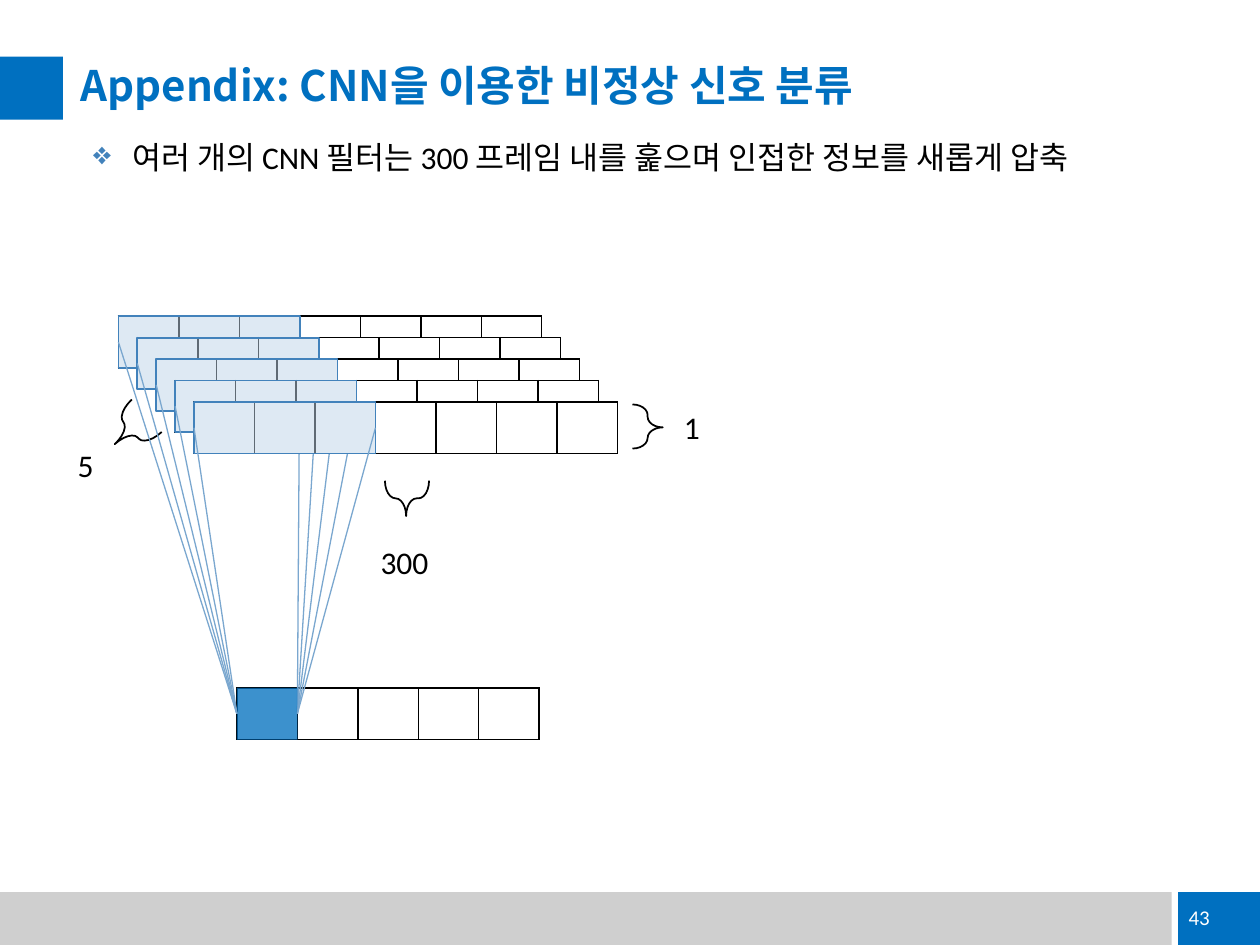
import pptx
import pptx.util
import pptx.dml.color
import pptx.enum.shapes
import pptx.enum.text
import pptx.oxml
import pptx.oxml.ns

COLORS = {
    "accent": "0070C0", "footer": "CFCFCF", "black": "000000", "white": "FFFFFF",
    "field": "BFD5E9", "edge": "4282BB", "ray": "7AA7CF",
}
LATIN, KOREAN = "Calibri", "Noto Sans CJK KR"
CELL_W, CELL_H = 0.48, 0.41
LAYERS, INPUTS, KERNEL = 5, 7, 3
OUTPUTS = INPUTS - KERNEL + 1
FIRST_X, FIRST_Y = 0.94, 2.51
STEP_X, STEP_Y = 0.15, 0.17
OUT_X, OUT_Y = 1.88, 5.46
SHAPE = pptx.enum.shapes.MSO_SHAPE
ALIGN = pptx.enum.text.PP_ALIGN
ANCHOR = pptx.enum.text.MSO_ANCHOR
inch, pt = pptx.util.Inches, pptx.util.Pt
A_NS = pptx.oxml.ns.nsdecls("a")


def rgb(name):
    return pptx.dml.color.RGBColor.from_string(COLORS[name])


def xml(body):
    return pptx.oxml.parse_xml(body)


def add_box(s, x, y, w, h, fill=None, line=None, opacity=None, kind=SHAPE.RECTANGLE):
    sp = s.shapes.add_shape(kind, inch(x), inch(y), inch(w), inch(h))
    sp.shadow.inherit = False
    if fill:
        sp.fill.solid()
        sp.fill.fore_color.rgb = rgb(fill)
    else:
        sp.fill.background()
    if opacity:
        color = sp.fill._xPr.find(".//" + pptx.oxml.ns.qn("a:srgbClr"))
        color.append(xml(f'<a:alpha {A_NS} val="{opacity * 1000}"/>'))
    if line:
        sp.line.color.rgb = rgb(line)
        sp.line.width = pt(1)
    else:
        sp.line.fill.background()
    return sp


def add_brace(s, x, y, w, h, rotation, curve):
    sp = add_box(s, x, y, w, h, line="black", kind=SHAPE.LEFT_BRACE)
    sp.rotation = rotation
    sp.adjustments[0], sp.adjustments[1] = curve, 0.48


def add_text(s, x, y, w, h, text, size, color="black", align=ALIGN.LEFT,
             anchor=ANCHOR.TOP, font=LATIN):
    tf = s.shapes.add_textbox(inch(x), inch(y), inch(w), inch(h)).text_frame
    tf.word_wrap = True
    tf.vertical_anchor = anchor
    p = tf.paragraphs[0]
    p.text = text
    p.alignment = align
    r = p.runs[0]
    r.font.size, r.font.name = pt(size), font
    r.font.color.rgb = rgb(color)
    r.font._element.append(xml(f'<a:ea {A_NS} typeface="{KOREAN}"/>'))
    return tf


def add_cells(s, x, y, count):
    """One row of white cells with black borders."""
    table = s.shapes.add_table(1, count, inch(x), inch(y),
                               inch(count * CELL_W), inch(CELL_H)).table
    table.first_row = table.horz_banding = False
    for cell in table.iter_cells():
        cell.margin_top = cell.margin_bottom = 0
        cell.fill.solid()
        cell.fill.fore_color.rgb = rgb("white")
        for i, side in enumerate("LRTB"):
            cell._tc.tcPr.insert(i, xml(
                f'<a:ln{side} {A_NS} w="12700"><a:solidFill>'
                f'<a:srgbClr val="{COLORS["black"]}"/></a:solidFill></a:ln{side}>'))


def add_ray(s, x1, y1, x2, y2):
    line = s.shapes.add_connector(pptx.enum.shapes.MSO_CONNECTOR.STRAIGHT,
                                  inch(x1), inch(y1), inch(x2), inch(y2))
    line.line.color.rgb = rgb("ray")
    line.line.width = pt(0.75)
    line._element.spPr.append(xml(f"<a:effectLst {A_NS}/>"))


def add_layer(s, index):
    """Input row, its receptive field and the rays to the output cell."""
    x, y = FIRST_X + index * STEP_X, FIRST_Y + index * STEP_Y
    field_w = KERNEL * CELL_W
    add_cells(s, x, y, INPUTS)
    add_box(s, x, y, field_w, CELL_H, "field", "edge", opacity=50)
    if index < LAYERS - 1:
        add_box(s, OUT_X, OUT_Y, CELL_W, CELL_H, "accent", opacity=30)
    for start, end in ((x, OUT_X), (x + field_w, OUT_X + CELL_W)):
        add_ray(s, start, y + CELL_H / 2, end, OUT_Y + CELL_H / 2)


def add_frame(s):
    # Footer bars and title marker
    add_box(s, 0, 7.08, 9.3, 0.42, "footer")
    add_box(s, 9.35, 7.08, 0.65, 0.42, "accent")
    add_box(s, 0, 0.45, 0.5, 0.5, "accent")
    add_text(s, 7.45, 7.08, 2.25, 0.4, "43", 12, "white", ALIGN.RIGHT, ANCHOR.MIDDLE)

    # Title
    tf = add_text(s, 0.64, 0.51, 9.01, 0.38, "Appendix: CNN을 이용한 비정상 신호 분류",
                  24, "accent", anchor=ANCHOR.MIDDLE, font=KOREAN)
    tf.margin_left = tf.margin_right = tf.margin_top = tf.margin_bottom = 0
    tf.paragraphs[0].line_spacing = 0.9
    tf.paragraphs[0].runs[0].font.bold = True

    # Bullet sentence
    tf = add_text(s, 0.64, 1.05, 9.01, 0.4,
                  "여러 개의 CNN 필터는 300 프레임 내를 훑으며 인접한 정보를 새롭게 압축", 18)
    pPr = tf.paragraphs[0]._p.get_or_add_pPr()
    pPr.set("marL", str(inch(0.31)))
    pPr.set("indent", str(-inch(0.31)))
    pPr.append(xml(f'<a:buClr {A_NS}><a:srgbClr val="{COLORS["edge"]}"/></a:buClr>'))
    pPr.append(xml(f'<a:buChar {A_NS} char="❖"/>'))


def main():
    prs = pptx.Presentation()
    prs.slide_width, prs.slide_height = inch(10), inch(7.5)
    s = prs.slides.add_slide(prs.slide_layouts[6])
    add_frame(s)

    # Dimension braces and their labels
    add_brace(s, 3.09, 3.78, 0.28, 0.35, 270, 0.65)
    add_brace(s, 0.87, 3.24, 0.34, 0.35, 317.3, 0.63)
    add_brace(s, 5.02, 3.21, 0.24, 0.35, 180, 0.63)
    for x, y, w, label in ((2.77, 4.26, 0.88, "300"), (0.24, 3.49, 0.88, "5"),
                           (5.33, 3.19, 0.31, "1")):
        add_text(s, x, y, w, 0.4, label, 18, align=ALIGN.CENTER)

    # Output row, then input layers from back to front
    add_cells(s, OUT_X, OUT_Y, OUTPUTS)
    for index in range(LAYERS):
        add_layer(s, index)
    prs.save("out.pptx")


if __name__ == "__main__":
    main()
